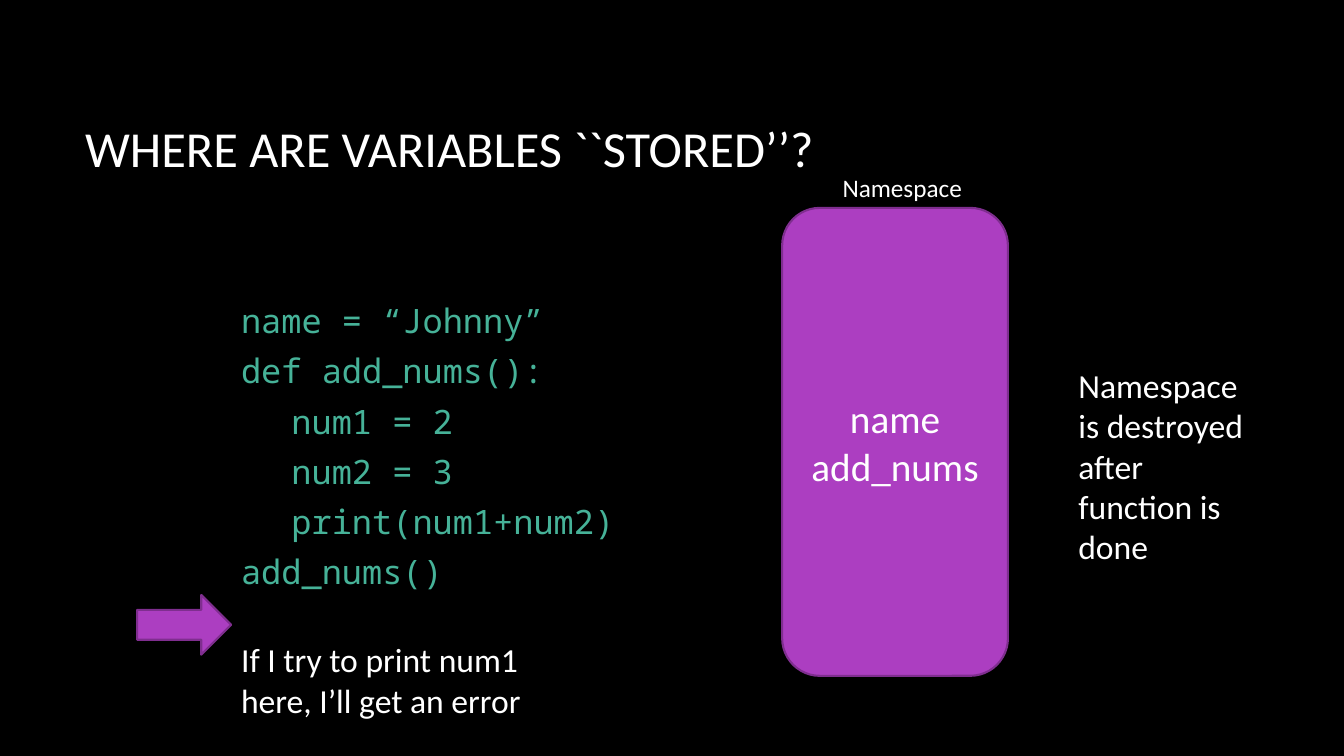
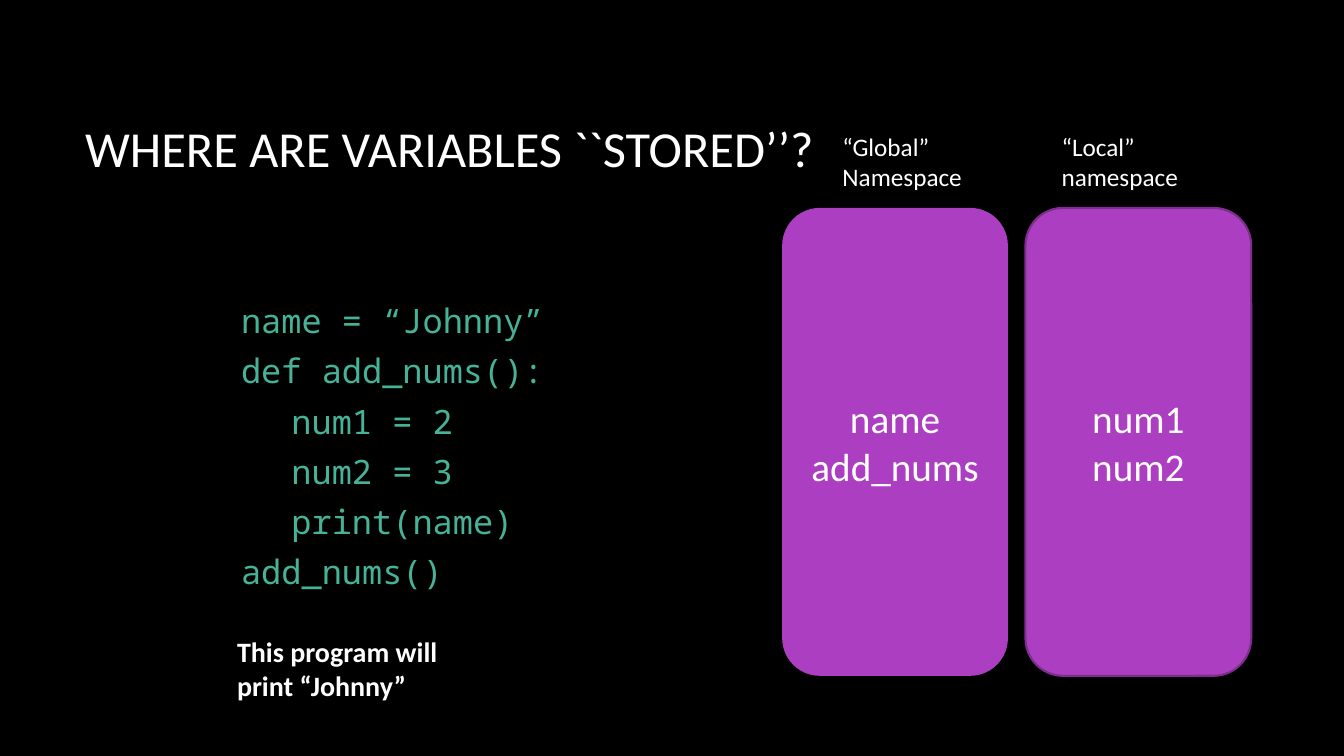
"""Build two slides that show where a program keeps its variables."""
from lxml.etree import SubElement
from pptx import Presentation
from pptx.dml.color import RGBColor
from pptx.enum.shapes import MSO_SHAPE
from pptx.enum.text import MSO_ANCHOR, MSO_AUTO_SIZE, PP_ALIGN
from pptx.oxml.ns import qn
from pptx.util import Inches, Pt

SLIDE_WIDTH = Inches(13.33)
SLIDE_HEIGHT = Inches(7.5)

BLACK = RGBColor(0x00, 0x00, 0x00)
WHITE = RGBColor(0xFF, 0xFF, 0xFF)
PURPLE = RGBColor(0xAC, 0x3E, 0xC1)
DARK_PURPLE = RGBColor(0x7F, 0x2E, 0x8F)
GREEN = RGBColor(0x46, 0xB2, 0x98)

TEXT_FONT = "Calibri"
CODE_FONT = "Noto Sans Mono"
CODE_INDENT = Inches(0.5)

TITLE = "WHERE ARE VARIABLES ``STORED’’?"
GLOBAL_NAMES = ["name", "add_nums"]
LOCAL_NAMES = ["num1", "num2"]

CODE_LEFT = 17.2
LABEL_LEFT = 61.95
NAMESPACE_LEFT = 58.2
NAMESPACE_WIDTH = 16.8
NAMESPACE_STEP = NAMESPACE_WIDTH + 1.3


def place(left, top, width, height):
    """Turn percentages of the slide into lengths."""
    return (
        round(SLIDE_WIDTH * left / 100),
        round(SLIDE_HEIGHT * top / 100),
        round(SLIDE_WIDTH * width / 100),
        round(SLIDE_HEIGHT * height / 100),
    )


def write_lines(text_frame, lines, size, color=WHITE, font=TEXT_FONT, bold=False):
    """Write one paragraph per line and return the paragraphs."""
    for index, line in enumerate(lines):
        paragraph = text_frame.add_paragraph() if index else text_frame.paragraphs[0]
        run = paragraph.add_run()
        run.text = line
        run.font.name = font
        run.font.size = Pt(size)
        run.font.bold = bold
        run.font.color.rgb = color
    return text_frame.paragraphs


def add_title(slide):
    """Add the shared title."""
    text_frame = slide.shapes.add_textbox(*place(5.6, 8.9, 83.1, 21.2)).text_frame
    text_frame.word_wrap = True
    text_frame.vertical_anchor = MSO_ANCHOR.MIDDLE
    write_lines(text_frame, [TITLE], 36)


def add_code(slide, printed):
    """Add the program, whose function prints the given expression."""
    lines = [
        "name = “Johnny”",
        "def add_nums():",
        "\tnum1 = 2",
        "\tnum2 = 3",
        f"\tprint({printed})",
        "add_nums()",
    ]
    text_frame = slide.shapes.add_textbox(*place(CODE_LEFT, 32.7, 38.2, 53.2)).text_frame
    text_frame.word_wrap = True
    text_frame.vertical_anchor = MSO_ANCHOR.MIDDLE
    for paragraph in write_lines(text_frame, lines, 24, GREEN, CODE_FONT):
        paragraph.line_spacing = 0.9
        paragraph.space_after = Pt(10)
        tab_list = SubElement(paragraph._p.get_or_add_pPr(), qn("a:tabLst"))
        SubElement(tab_list, qn("a:tab"), pos=str(CODE_INDENT), algn="l")


def add_note(slide, area, text, size, bold=False, wrap=True):
    """Add a white note or label in a box that fits its text."""
    text_frame = slide.shapes.add_textbox(*place(*area)).text_frame
    text_frame.word_wrap = wrap
    text_frame.auto_size = MSO_AUTO_SIZE.SHAPE_TO_FIT_TEXT
    write_lines(text_frame, [text], size, bold=bold)


def add_purple_shape(slide, kind, area, outlined=True):
    """Add a purple preset shape, with or without an outline."""
    shape = slide.shapes.add_shape(kind, *place(*area))
    shape.shadow.inherit = False
    shape.fill.solid()
    shape.fill.fore_color.rgb = PURPLE
    if outlined:
        shape.line.color.rgb = DARK_PURPLE
        shape.line.width = Pt(1.5)
    else:
        shape.line.fill.background()
    return shape


def add_namespace(slide, column, names, outlined=True):
    """Add a namespace box that lists its names."""
    left = NAMESPACE_LEFT + column * NAMESPACE_STEP
    area = (left, 27.5, NAMESPACE_WIDTH, 61.9)
    shape = add_purple_shape(slide, MSO_SHAPE.ROUNDED_RECTANGLE, area, outlined)
    text_frame = shape.text_frame
    text_frame.word_wrap = True
    text_frame.vertical_anchor = MSO_ANCHOR.MIDDLE
    for paragraph in write_lines(text_frame, names, 28):
        paragraph.alignment = PP_ALIGN.CENTER


def add_program_slide(presentation, printed):
    """Add a black slide with the title and the program."""
    slide = presentation.slides.add_slide(presentation.slide_layouts[6])
    slide.background.fill.solid()
    slide.background.fill.fore_color.rgb = BLACK
    add_title(slide)
    add_code(slide, printed)
    return slide


def add_destroyed_slide(presentation):
    """Show the single namespace left after the call."""
    slide = add_program_slide(presentation, "num1+num2")
    add_namespace(slide, 0, GLOBAL_NAMES)
    add_note(slide, (LABEL_LEFT, 22.1, 10.5, 5.3), "Namespace", 18, wrap=False)
    add_purple_shape(slide, MSO_SHAPE.RIGHT_ARROW, (10.2, 78.7, 7, 7.9))
    add_note(slide, (79.5, 47.6, 14.85, 28.3),
             "Namespace is destroyed after function is done", 24)
    add_note(slide, (CODE_LEFT, 83.9, 25.8, 12.1),
             "If I try to print num1 here, I’ll get an error", 24)


def add_scopes_slide(presentation):
    """Show the global and local namespaces during the call."""
    slide = add_program_slide(presentation, "name")
    add_namespace(slide, 0, GLOBAL_NAMES, outlined=False)
    add_note(slide, (LABEL_LEFT, 16.7, 11.95, 9.5), "“Global” Namespace", 18)
    add_namespace(slide, 1, LOCAL_NAMES)
    add_note(slide, (78.25, 16.7, 14.85, 9.5), "“Local” namespace", 18)
    add_note(slide, (16.9, 83.3, 19.4, 10.3),
             "This program will print “Johnny”", 20, bold=True)


def main():
    """Build and save the presentation."""
    presentation = Presentation()
    presentation.slide_width = SLIDE_WIDTH
    presentation.slide_height = SLIDE_HEIGHT
    add_destroyed_slide(presentation)
    add_scopes_slide(presentation)
    presentation.save("out.pptx")


if __name__ == "__main__":
    main()
